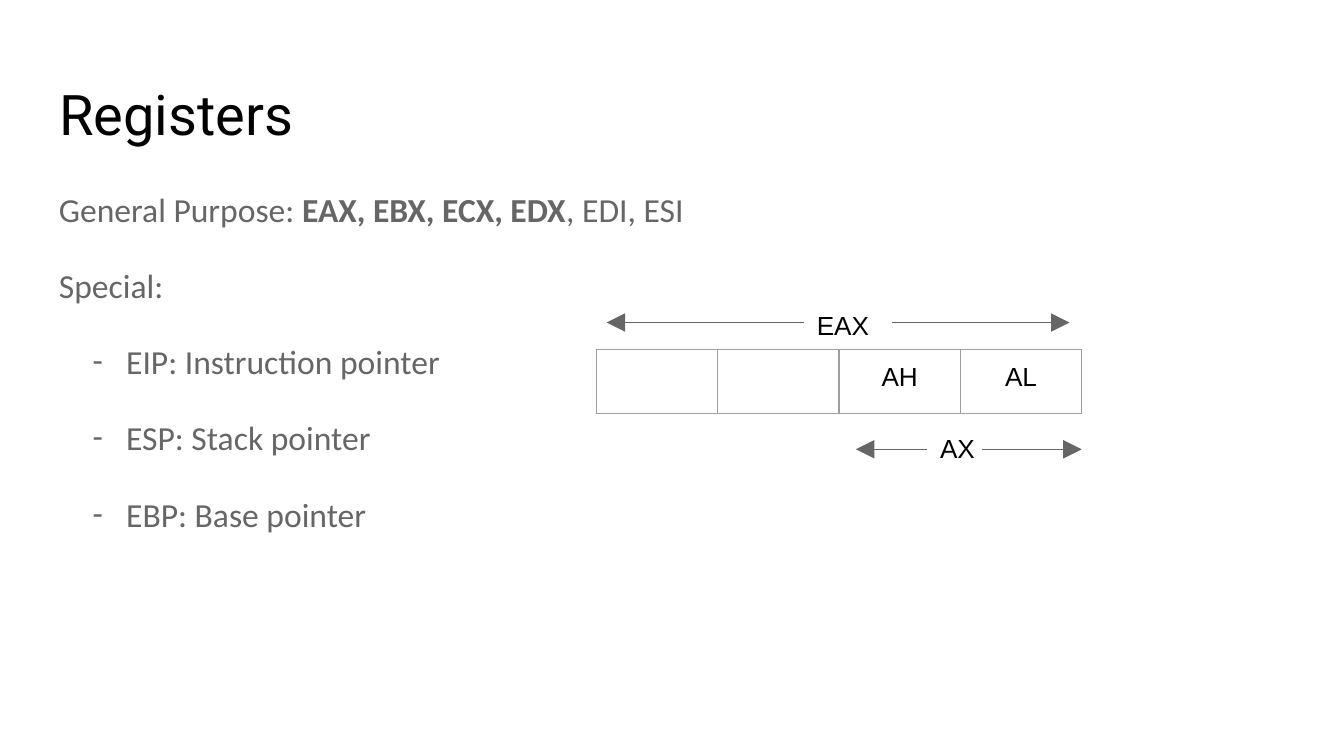
from pptx import Presentation
from pptx.dml.color import RGBColor
from pptx.enum.shapes import MSO_CONNECTOR
from pptx.enum.text import MSO_ANCHOR, MSO_AUTO_SIZE, PP_ALIGN
from pptx.oxml.ns import qn
from pptx.util import Pt
from lxml.etree import SubElement

GRAY, BLACK, BORDER = "666666", "000000", "9E9E9E"
INSET = 7.2
GENERAL = [("General Purpose: ", False), ("EAX, EBX, ECX, EDX", True), (", EDI, ESI", False)]
SPECIAL = ["EIP: Instruction pointer", "ESP: Stack pointer", "EBP: Base pointer"]


def color(hex_text):
    return RGBColor.from_string(hex_text)


def style(font, name, size, hex_text):
    font.name, font.size = name, Pt(size)
    font.color.rgb = color(hex_text)


def set_frame(frame):
    frame.word_wrap = True
    frame.auto_size = MSO_AUTO_SIZE.NONE
    frame.vertical_anchor = MSO_ANCHOR.TOP
    frame.margin_left = frame.margin_right = Pt(INSET)
    frame.margin_top = frame.margin_bottom = Pt(INSET)


def add_frame(page, left, top, width, height):
    frame = page.shapes.add_textbox(Pt(left), Pt(top), Pt(width), Pt(height)).text_frame
    set_frame(frame)
    return frame


def place_title(page, left, top, width, height):
    title = page.shapes.title
    title.left, title.top, title.width, title.height = map(Pt, (left, top, width, height))
    set_frame(title.text_frame)
    title.text_frame.text = "Registers"
    para = title.text_frame.paragraphs[0]
    para.alignment = PP_ALIGN.LEFT
    style(para.runs[0].font, "Roboto", 30, BLACK)


def add_dash(para):
    """Give the paragraph a hanging dash bullet."""
    props = para._p.get_or_add_pPr()
    props.set("marL", str(Pt(36)))
    props.set("indent", str(Pt(-18)))
    SubElement(SubElement(props, qn("a:buClr")), qn("a:srgbClr"), val=GRAY)
    SubElement(props, qn("a:buFont"), typeface="Calibri")
    SubElement(props, qn("a:buChar"), char="-")


def add_register_list(page, left, top, width, height):
    frame = add_frame(page, left, top, width, height)
    for text, bold in GENERAL:
        span = frame.paragraphs[0].add_run()
        span.text, span.font.bold = text, bold
    frame.add_paragraph().text = "Special:"
    for text in SPECIAL:
        para = frame.add_paragraph()
        para.text = text
        add_dash(para)
    for para in frame.paragraphs:
        para.line_spacing = 1.15
        para.space_after = Pt(16)
        for span in para.runs:
            style(span.font, "Calibri", 18, GRAY)


def add_borders(cell):
    props = cell._tc.get_or_add_tcPr()
    for index, side in enumerate(("a:lnL", "a:lnR", "a:lnT", "a:lnB")):
        line = props.makeelement(qn(side), {"w": str(Pt(0.75))})
        fill = SubElement(line, qn("a:solidFill"))
        SubElement(fill, qn("a:srgbClr"), val=BORDER)
        props.insert(index, line)


def add_byte_cells(page, left, top, width, height):
    names = ["", "", "AH", "AL"]
    table = page.shapes.add_table(
        1, len(names), Pt(left), Pt(top), Pt(width), Pt(height)).table
    table.first_row = table.horz_banding = False
    for column, cell, name in zip(table.columns, table.rows[0].cells, names):
        column.width = Pt(width / len(names))
        cell.fill.background()
        add_borders(cell)
        if name:
            cell.margin_left = cell.margin_right = Pt(INSET)
            cell.margin_top = cell.margin_bottom = Pt(INSET)
            cell.text_frame.text = name
            para = cell.text_frame.paragraphs[0]
            para.alignment = PP_ALIGN.CENTER
            style(para.runs[0].font, "Arial", 14, BLACK)


def add_label(page, text, left, top, width, height):
    frame = add_frame(page, left, top, width, height)
    frame.text = text
    style(frame.paragraphs[0].runs[0].font, "Arial", 14, BLACK)


def add_arrow(page, start, end, y):
    arrow = page.shapes.add_connector(
        MSO_CONNECTOR.STRAIGHT, Pt(start), Pt(y), Pt(end), Pt(y))
    arrow.line.color.rgb = color(GRAY)
    arrow.line.width = Pt(0.75)
    SubElement(arrow.line._get_or_add_ln(), qn("a:tailEnd"), type="triangle", w="lg", len="lg")
    SubElement(arrow._element.spPr, qn("a:effectLst"))


def add_register_diagram(page, left, top, width, height):
    """Draw the bytes of EAX between the spans of EAX and AX."""
    add_byte_cells(page, left, top + 28.8, width, 34.3)
    add_label(page, "EAX", left + 111, top, 88.5, 40)
    add_label(page, "AX", left + 177, top + 66.3, 68.5, 31)
    eax_y, ax_y = top + 14.4, top + height - 15
    for start, end, y in [(111, 5.5, eax_y), (158.5, 253.5, eax_y),
                          (177, 139, ax_y), (206.5, width, ax_y)]:
        add_arrow(page, left + start, left + end, y)


def main():
    deck = Presentation()
    deck.slide_width, deck.slide_height = Pt(720), Pt(405)
    page = deck.slides.add_slide(deck.slide_layouts[5])
    place_title(page, 24.5, 35.5, 671, 45)
    add_register_list(page, 24.5, 90.75, 671, 269)
    add_register_diagram(page, 319.5, 158.4, 260, 97.3)
    deck.save("out.pptx")


if __name__ == "__main__":
    main()
